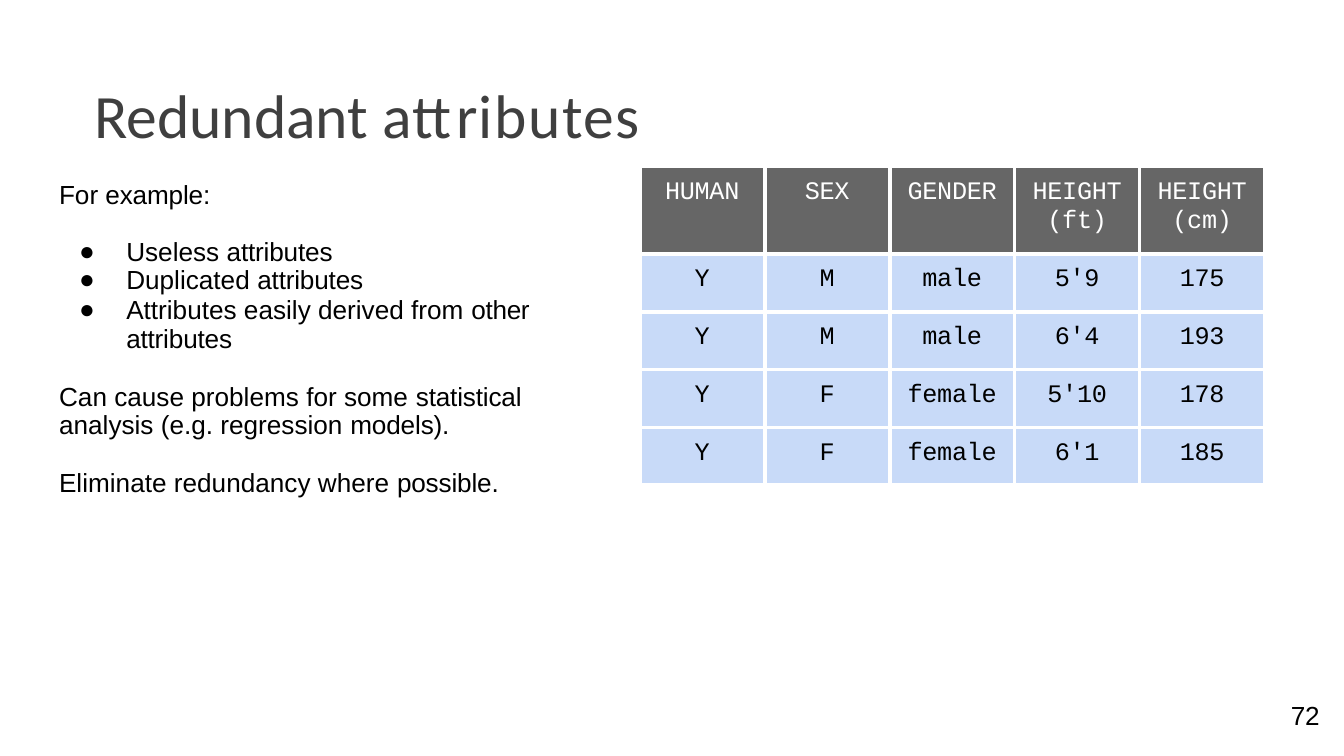
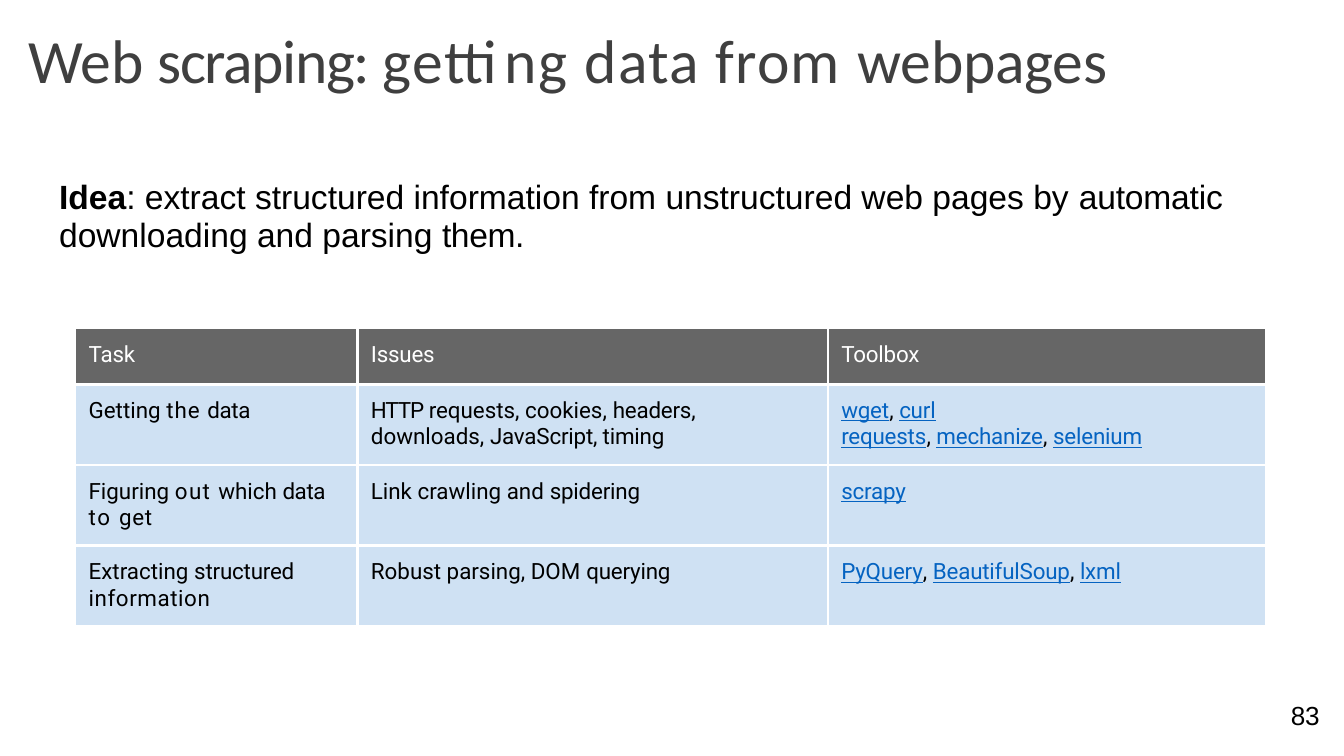
"""Build two slides: redundant attributes and web scraping."""
from lxml.etree import SubElement as Sub
from pptx import Presentation
from pptx.dml.color import RGBColor
from pptx.enum.text import MSO_ANCHOR as Anchor, MSO_AUTO_SIZE as Fit, PP_ALIGN as Align
from pptx.oxml.ns import qn
from pptx.util import Inches, Pt

BLACK = RGBColor(0x00, 0x00, 0x00)
WHITE = RGBColor(0xFF, 0xFF, 0xFF)
GREY = RGBColor(0x3F, 0x3F, 0x3F)
HEAD = RGBColor(0x66, 0x66, 0x66)
ICE = RGBColor(0xC8, 0xDA, 0xF8)
SKY = RGBColor(0xCF, 0xE1, 0xF3)
LINK = RGBColor(0x05, 0x63, 0xC1)


def links(*names):
    """Return underlined runs parted by commas."""
    runs = []
    for name in names:
        runs += [(", ", 0), (name, -0.1, True)]
    return runs[1:]


POINTS = [
    {"runs": [("For", 0), (" example:", -0.1)]},
    {"runs": [("Useless ", 0), ("attributes", -0.1)], "line": 15.9, "gap": 14.4, "dot": True},
    {"runs": [("Duplicated ", 0), ("attributes", -0.1)], "line": 15.1, "dot": True},
    {"runs": [("Attributes easily derived from ", 0), ("other ", -0.2), ("attributes", -0.1)],
     "line": 15.1, "gap": 1.1, "dot": True},
    {"runs": [("Can cause problems for some ", 0), ("statistical ", -0.1),
              ("analysis (e.g. regression ", 0), ("models).", -0.1)], "line": 15.1, "gap": 16.1},
    {"runs": [("Eliminate redundancy where ", 0), ("possible.", -0.1)], "gap": 14.1},
]
IDEA = [
    {"runs": [("Idea", 0), (": extract structured information from unstructured web pages by ", 0),
              ("automatic", -0.1)], "line": 20.6},
    {"runs": [("downloading and parsing ", 0), ("them.", -0.2)], "line": 20.6},
]
PEOPLE = [
    ["HUMAN", "SEX", "GENDER", "HEIGHT\n(ft)", "HEIGHT\n(cm)"],
    ["Y", "M", "male", "5'9", "175"],
    ["Y", "M", "male", "6'4", "193"],
    ["Y", "F", "female", "5'10", "178"],
    ["Y", "F", "female", "6'1", "185"],
]
TASKS = [
    ["Task", "Issues", "Toolbox"],
    [[[("Getting ", 0), ("the ", 0.5), ("data", -0.2)]],
     [[("HTTP ", -0.6), ("requests, cookies, ", 0), ("headers,", -0.1)],
      [("downloads, ", 0), ("JavaScript, timing", -0.1)]],
     [links("wget", "curl"), links("requests", "mechanize", "selenium")]],
    [[[("Figuring ", 0), ("out ", 0.7), ("which ", 0), ("data ", -0.2), ("to ", 0.9), ("get", 0.3)]],
     [[("Link crawling and ", 0), ("spidering", -0.1)]],
     [links("scrapy")]],
    [[[("Extracting ", 0), ("structured", -0.1)], [("information", 0.3)]],
     [[("Robust parsing, DOM ", 0), ("querying", -0.1)]],
     [links("PyQuery", "BeautifulSoup", "lxml")]],
]


def write(frame, paras, face, size, ink, align=Align.LEFT):
    """Fill a text frame with styled paragraphs."""
    for n, item in enumerate(paras):
        para = frame.add_paragraph() if n else frame.paragraphs[0]
        para.alignment = align
        para.space_before = Pt(item.get("gap", 0))
        if "line" in item:
            para.line_spacing = Pt(item["line"])
        if item.get("dot"):
            props = para._p.get_or_add_pPr()
            props.set("marL", str(Inches(0.5)))
            props.set("indent", str(Inches(-0.35)))
            Sub(props, qn("a:buFont")).set("typeface", "Arial")
            Sub(props, qn("a:buChar")).set("char", "●")
        for text, track, *link in item["runs"]:
            run = para.add_run()
            run.text = text
            font = run.font
            font.name, font.size = face, Pt(size)
            font.color.rgb = LINK if link else ink
            if link:
                font.underline = True
            if track:
                font._element.set("spc", str(round(track * 100)))


def shape_frame(frame, left=0.01, top=0.01, anchor=Anchor.TOP):
    """Give a text frame its insets, wrap and anchor."""
    frame.margin_left, frame.margin_top = Inches(left), Inches(top)
    frame.margin_right = frame.margin_bottom = 0
    frame.word_wrap = True
    frame.auto_size = Fit.NONE
    frame.vertical_anchor = anchor
    return frame


def add_text(slide, box, paras, size):
    """Add a text box in the body face."""
    shape = slide.shapes.add_textbox(*map(Inches, box))
    frame = shape_frame(shape.text_frame)
    write(frame, paras, "Arial", size, BLACK)
    return frame


def add_slide(deck, runs, box, number):
    """Add a slide with its title and page number."""
    slide = deck.slides.add_slide(deck.slide_layouts[5])
    title = slide.shapes.title
    title.left, title.top, title.width, title.height = map(Inches, box)
    frame = shape_frame(title.text_frame, anchor=Anchor.MIDDLE)
    write(frame, [{"runs": runs}], "Calibri", 33, GREY)
    page = [{"runs": [(number, -0.2)], "line": 16.5}]
    frame = add_text(slide, (9.51, 5.2, 0.31, 0.25), page, 14)
    shape_frame(frame, 0, 0, Anchor.MIDDLE)
    frame.paragraphs[0].alignment = Align.RIGHT
    return slide


def edge(cell, width):
    """Draw white borders round a cell."""
    props = cell._tc.get_or_add_tcPr()
    for side in ("lnL", "lnR", "lnT", "lnB"):
        line = Sub(props, qn(f"a:{side}"), w=str(Pt(width)))
        Sub(Sub(line, qn("a:solidFill")), qn("a:srgbClr"), val=str(WHITE))


def add_grid(slide, spot, cols, rows, data, fill, border, face, size, align, inset, side):
    """Add a table with a dark head row."""
    area = (*spot, sum(cols), sum(rows))
    table = slide.shapes.add_table(len(rows), len(cols), *map(Inches, area)).table
    for col, width in zip(table.columns, cols):
        col.width = Inches(width)
    for r, (height, line) in enumerate(zip(rows, data)):
        table.rows[r].height = Inches(height)
        for c, item in enumerate(line):
            cell = table.cell(r, c)
            cell.margin_left = cell.margin_right = Inches(side)
            cell.margin_top, cell.margin_bottom = Inches(inset), 0
            edge(cell, border)
            cell.fill.solid()
            cell.fill.fore_color.rgb = fill if r else HEAD
            if isinstance(item, str):
                item = [[(text, -0.1)] for text in item.split("\n")]
            paras = [{"runs": runs} for runs in item]
            write(cell.text_frame, paras, face, size, BLACK if r else WHITE, align)


def main():
    """Build and save the deck."""
    deck = Presentation()
    deck.slide_width = Inches(10)
    deck.slide_height = deck.slide_width * 9 // 16

    slide = add_slide(deck, [("Redundant ", 0), ("attributes", 0.8)],
                      (0.69, 0.3, 8.62, 1.09), "72")
    add_text(slide, (0.43, 1.32, 3.53, 2.4), POINTS, 14)
    add_grid(slide, (4.76, 1.24), [0.93] * 5, [0.65] + [0.43] * 4, PEOPLE,
             ICE, 2.25, "Courier New", 13.5, Align.CENTER, 0.09, 0)

    head = [("Web ", 0), ("scraping: ", -0.8), ("getting ", 0.9),
            ("data from ", 0.7), ("webpages", -0.1)]
    slide = add_slide(deck, head, (0.2, 0.14, 9.38, 0.58), "83")
    frame = add_text(slide, (0.43, 1.31, 8.69, 0.6), IDEA, 18)
    frame.paragraphs[0].runs[0].font.bold = True
    add_grid(slide, (0.56, 2.44), [2.1, 3.5, 3.26], [0.42] + [0.6] * 3, TASKS,
             SKY, 1.5, "Roboto", 12, Align.LEFT, 0.1, 0.1)
    deck.save("out.pptx")


if __name__ == "__main__":
    main()
